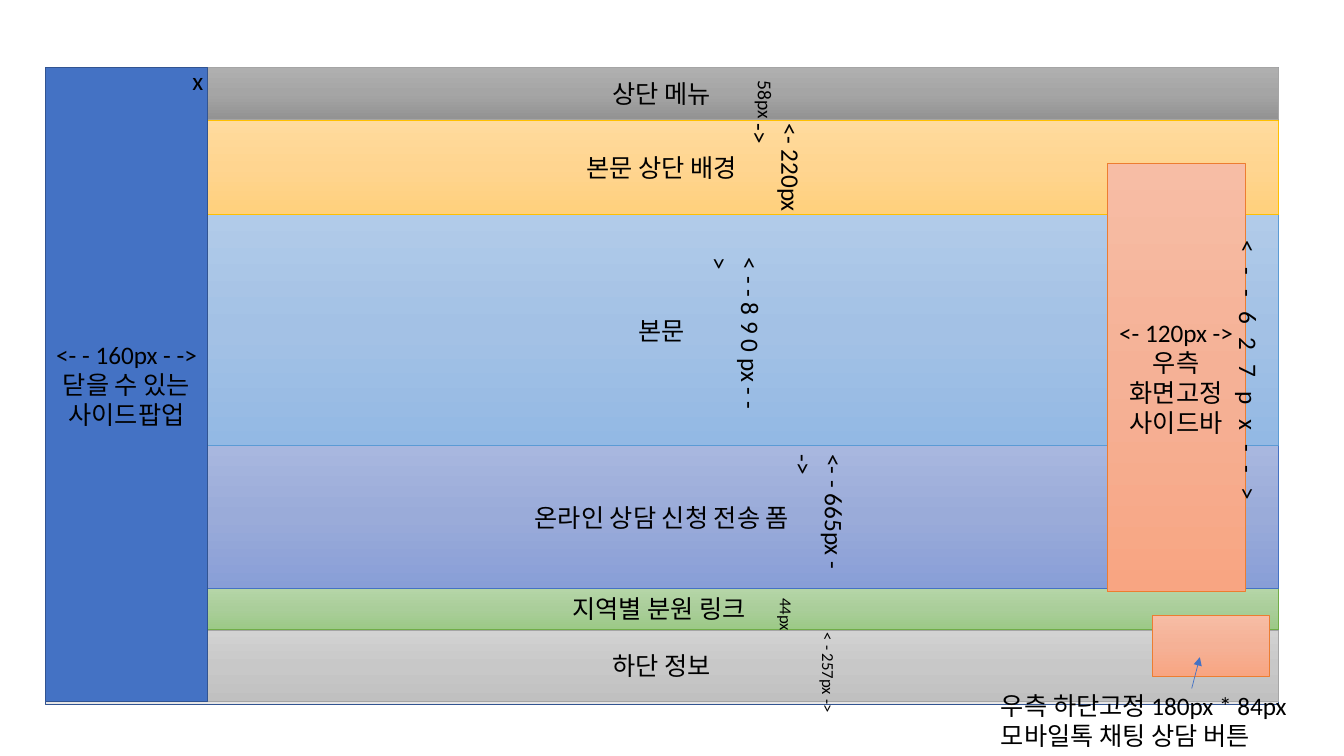
"""Builds a web page layout wireframe slide."""
from copy import deepcopy

from lxml.etree import SubElement
from pptx import Presentation
from pptx.dml.color import RGBColor
from pptx.enum.shapes import MSO_CONNECTOR, MSO_SHAPE
from pptx.enum.text import MSO_ANCHOR, PP_ALIGN
from pptx.oxml.ns import qn
from pptx.util import Inches, Pt

BLACK = RGBColor(0x00, 0x00, 0x00)
PAGE_GRAY = RGBColor(0xE7, 0xE6, 0xE6)
GRAY = RGBColor(0xA5, 0xA5, 0xA5)
GREEN = RGBColor(0x70, 0xAD, 0x47)
BLUE = RGBColor(0x44, 0x72, 0xC4)
NAVY = RGBColor(0x32, 0x54, 0x91)
SKY = RGBColor(0x5B, 0x9B, 0xD5)
GOLD = RGBColor(0xFF, 0xC0, 0x00)
ORANGE = RGBColor(0xED, 0x7D, 0x31)


def shades(*codes):
    return [RGBColor.from_string(code) for code in codes]


LIGHT_GRAY_SHADES = shades("D2D2D2", "C8C8C8", "C0C0C0")
GREEN_SHADES = shades("B5D5A7", "AACE9A", "9CC987")
BLUE_SHADES = shades("A8B7DF", "9AABD9", "889ED7")
SKY_SHADES = shades("B1CBE9", "A3C1E5", "93B9E4")
GOLD_SHADES = shades("FFDB9E", "FFD590", "FFD07C")
GRAY_SHADES = shades("AFAFAF", "A5A5A5", "939393")
ORANGE_SHADES = shades("F7BDA5", "F5B196", "F8A582")

PAGE_LEFT, PAGE_TOP, PAGE_WIDTH = 0.45, 0.67, 12.23


class Wireframe:
    """Holds the text style and the slide being drawn."""

    def __init__(self, page, font="Calibri"):
        self.page = page
        self.font = font

    def set_text(self, frame, text, size=18, align=PP_ALIGN.LEFT, spacing=None):
        frame.word_wrap = True
        frame.text = text
        for para in frame.paragraphs:
            para.alignment = align
            for span in para.runs:
                span.font.name = self.font
                span.font.size = Pt(size)
                span.font.color.rgb = BLACK
                if spacing:
                    span.font._element.set("spc", str(spacing * 100))

    def box(self, left, top, width, height, fill, line, text="", weight=0.5):
        box = self.page.shapes.add_shape(
            MSO_SHAPE.RECTANGLE, Inches(left), Inches(top), Inches(width), Inches(height))
        box.shadow.inherit = False
        box.line.color.rgb = line
        box.line.width = Pt(weight)
        if isinstance(fill, RGBColor):
            box.fill.solid()
            box.fill.fore_color.rgb = fill
        else:
            self.shade(box.fill, fill)
        if text:
            box.text_frame.vertical_anchor = MSO_ANCHOR.MIDDLE
            self.set_text(box.text_frame, text, align=PP_ALIGN.CENTER)

    def shade(self, fill, colors):
        fill.gradient()
        fill.gradient_angle = 270
        first = fill.gradient_stops[0]._gs
        first.addnext(deepcopy(first))
        for stop, position, color in zip(fill.gradient_stops, (0, 0.5, 1), colors):
            stop.position = position
            stop.color.rgb = color

    def label(self, left, top, width, height, text, size=18, vertical=False, spacing=None):
        box = self.page.shapes.add_textbox(
            Inches(left), Inches(top), Inches(width), Inches(height))
        self.set_text(box.text_frame, text, size, spacing=spacing)
        if vertical:
            box.text_frame._txBody.bodyPr.set("vert", "eaVert")

    def arrow(self, start_x, start_y, end_x, end_y, color):
        arrow = self.page.shapes.add_connector(
            MSO_CONNECTOR.STRAIGHT, Inches(start_x), Inches(start_y),
            Inches(end_x), Inches(end_y))
        arrow.line.color.rgb = color
        arrow.line.width = Pt(0.5)
        SubElement(arrow.line._get_or_add_ln(), qn("a:tailEnd"), type="triangle")
        SubElement(arrow._element.spPr, qn("a:effectLst"))


def main():
    deck = Presentation()
    deck.slide_width, deck.slide_height = Inches(13.33), Inches(7.5)
    frame = Wireframe(deck.slides.add_slide(deck.slide_layouts[6]))

    frame.box(PAGE_LEFT, PAGE_TOP, PAGE_WIDTH, 6.32, PAGE_GRAY, NAVY, weight=1)
    bands = [
        (6.25, 0.71, LIGHT_GRAY_SHADES, GRAY, "하단 정보"),
        (5.84, 0.4, GREEN_SHADES, GREEN, "지역별 분원 링크 "),
        (4.42, 1.42, BLUE_SHADES, BLUE, "온라인 상담 신청 전송 폼"),
        (2.13, 2.29, SKY_SHADES, SKY, "본문"),
        (1.19, 0.94, GOLD_SHADES, GOLD, "본문 상단 배경"),
        (PAGE_TOP, 0.51, GRAY_SHADES, GRAY, "상단 메뉴"),
    ]
    for top, height, fill, line, text in bands:
        frame.box(PAGE_LEFT, top, PAGE_WIDTH, height, fill, line, text)

    frame.box(PAGE_LEFT, PAGE_TOP, 1.61, 6.29, BLUE, NAVY,
              "<- - 160px - ->\n닫을 수 있는 사이드팝업", weight=1)
    frame.label(1.81, 0.6, 0.47, 0.4, "x")
    frame.label(7.32, 0.7, 0.44, 0.97, "58px", 14, vertical=True)

    frame.box(10.98, 1.62, 1.37, 4.25, ORANGE_SHADES, ORANGE,
              "<- 120px ->\n우측 화면고정 사이드바")
    frame.label(12.09, 2.29, 0.5, 3.58, "< - - 6 2 7 p x - - >", vertical=True, spacing=3)

    frame.box(11.43, 6.1, 1.16, 0.61, ORANGE_SHADES, ORANGE)
    frame.label(9.83, 6.8, 3.33, 0.71, "우측 하단고정 180px * 84px\n모바일톡 채팅 상담 버튼")
    frame.arrow(11.82, 6.83, 11.9, 6.52, BLUE)

    heights = [
        (7.55, 1.13, 0.5, 1.24, "<- 220px ->", 18),
        (7.15, 2.46, 0.5, 1.85, "< - - 8 9 0 px - - >", 18),
        (7.98, 4.41, 0.5, 1.53, "<- - 665px - ->", 18),
        (7.55, 5.8, 0.4, 0.74, " 44px", 12),
        (7.97, 6.18, 0.4, 1.02, "< - 257px ->", 12),
    ]
    for left, top, width, height, text, size in heights:
        frame.label(left, top, width, height, text, size, vertical=True)

    deck.save("out.pptx")


if __name__ == "__main__":
    main()
